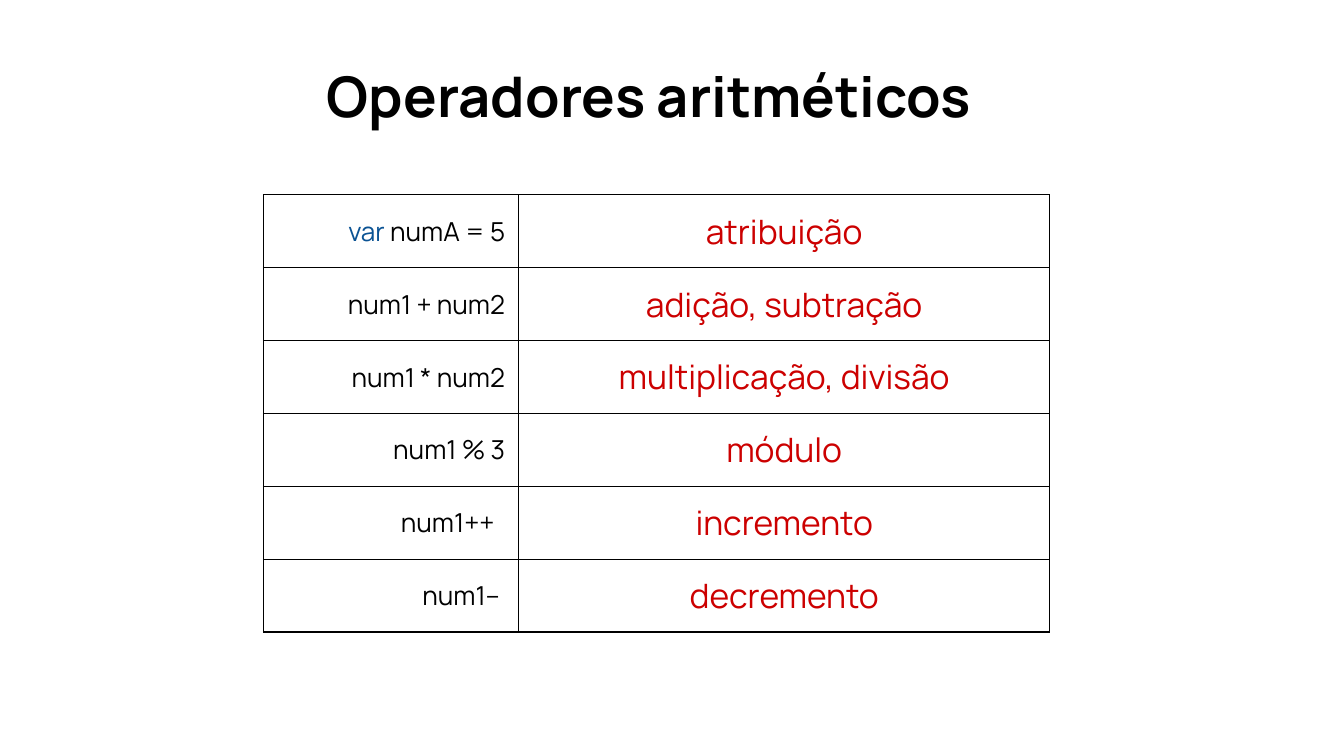
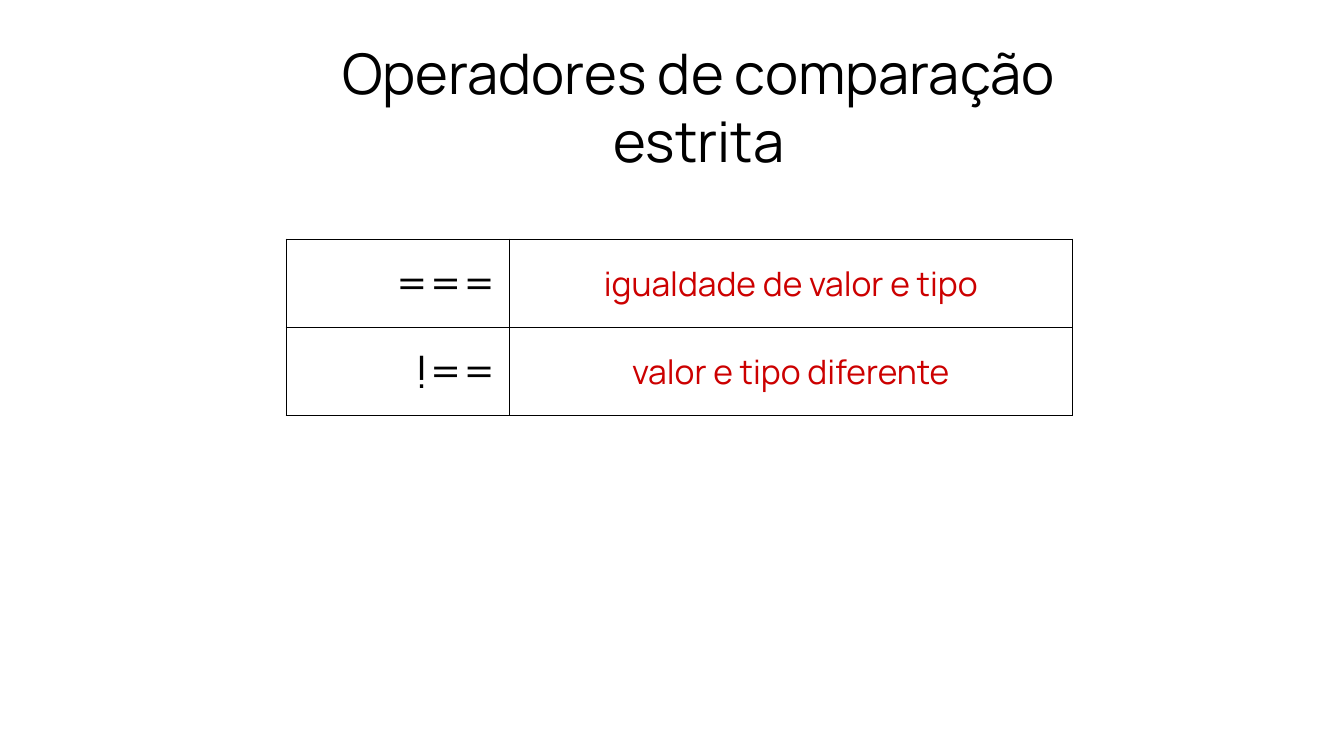
from lxml import etree
from pptx import Presentation
from pptx import util as u
from pptx.dml.color import RGBColor
from pptx.enum import text
from pptx.oxml import ns

BLACK = RGBColor(0x00, 0x00, 0x00)
RED = RGBColor(0xCC, 0x00, 0x00)
BLUE = RGBColor(0x0B, 0x53, 0x94)
FONT = "Manrope"
WIDE = u.Inches(10)
HIGH = WIDE * 9 // 16
PAD = u.Inches(0.1)
RULE = u.Pt(0.75)
RIGHT, CENTER = text.PP_ALIGN.RIGHT, text.PP_ALIGN.CENTER

MATH = [
    ([("var", BLUE), (" numA = 5", BLACK)], "atribuição"),
    ([("num1 + num2", BLACK)], "adição, subtração"),
    ([("num1 * num2", BLACK)], "multiplicação, divisão"),
    ([("num1 % 3", BLACK)], "módulo"),
    ([("num1++", BLACK)], "incremento"),
    ([("num1--", BLACK)], "decremento"),
]
STRICT = [
    ([("===", BLACK)], "igualdade de valor e tipo"),
    ([("!==", BLACK)], "valor e tipo diferente"),
]


def style(run, size, color, bold=False):
    font = run.font
    font.name, font.size, font.bold = FONT, u.Pt(size), bold
    font.color.rgb = color


def title(slide, words, box, bold=False):
    shape = slide.shapes.title
    shape.left, shape.top, shape.width, shape.height = map(u.Inches, box)
    frame = shape.text_frame
    frame.text = words
    frame.word_wrap = True
    frame.auto_size = text.MSO_AUTO_SIZE.NONE
    frame.vertical_anchor = text.MSO_ANCHOR.MIDDLE
    frame.margin_left = frame.margin_right = PAD
    frame.margin_top = frame.margin_bottom = PAD
    line = frame.paragraphs[0]
    line.alignment = CENTER
    style(line.runs[0], 30, BLACK, bold)


def frame_cell(cell):
    """Rule all four sides of a cell in thin black."""
    props = cell._tc.get_or_add_tcPr()
    for spot, side in enumerate(("lnL", "lnR", "lnT", "lnB")):
        edge = etree.Element(ns.qn("a:" + side), w=str(RULE))
        fill = etree.SubElement(edge, ns.qn("a:solidFill"))
        etree.SubElement(fill, ns.qn("a:srgbClr"), val=str(BLACK))
        props.insert(spot, edge)


def fill_cell(cell, parts, size, align):
    cell.fill.background()
    cell.vertical_anchor = text.MSO_ANCHOR.MIDDLE
    cell.margin_left = cell.margin_right = PAD
    cell.margin_top = cell.margin_bottom = PAD
    line = cell.text_frame.paragraphs[0]
    line.alignment = align
    for words, color in parts:
        run = line.add_run()
        run.text = words
        style(run, size, color)
    frame_cell(cell)


def table(slide, rows, left, top, widths, high, size):
    """Add a two-column table: code on the left, its meaning on the right."""
    grid = slide.shapes.add_table(
        len(rows), 2, u.Inches(left), u.Inches(top),
        u.Inches(sum(widths)), u.Inches(high * len(rows))).table
    grid.first_row = grid.horz_banding = False
    for col, wide in zip(grid.columns, widths):
        col.width = u.Inches(wide)
    for row, (code, sense) in zip(grid.rows, rows):
        row.height = u.Inches(high)
        fill_cell(row.cells[0], code, size, RIGHT)
        fill_cell(row.cells[1], [(sense, RED)], 18, CENTER)
    return grid


def main():
    deck = Presentation()
    deck.slide_width, deck.slide_height = WIDE, HIGH
    plain = deck.slide_layouts.get_by_name("Title Only")

    slide = deck.slides.add_slide(plain)
    title(slide, "Operadores aritméticos", (2.22, 0.28, 5.22, 0.86), bold=True)
    grid = table(slide, MATH, 1.96, 1.45, (1.9, 3.95), 0.54, 14)
    grid.cell(4, 0).margin_right = u.Inches(0.18)
    grid.cell(5, 0).margin_right = u.Inches(0.14)

    slide = deck.slides.add_slide(plain)
    table(slide, STRICT, 2.13, 1.78, (1.66, 4.19), 0.65, 24)
    title(slide, "Operadores de comparação estrita", (1.89, 0.36, 6.62, 0.86))

    deck.save("out.pptx")


if __name__ == "__main__":
    main()
